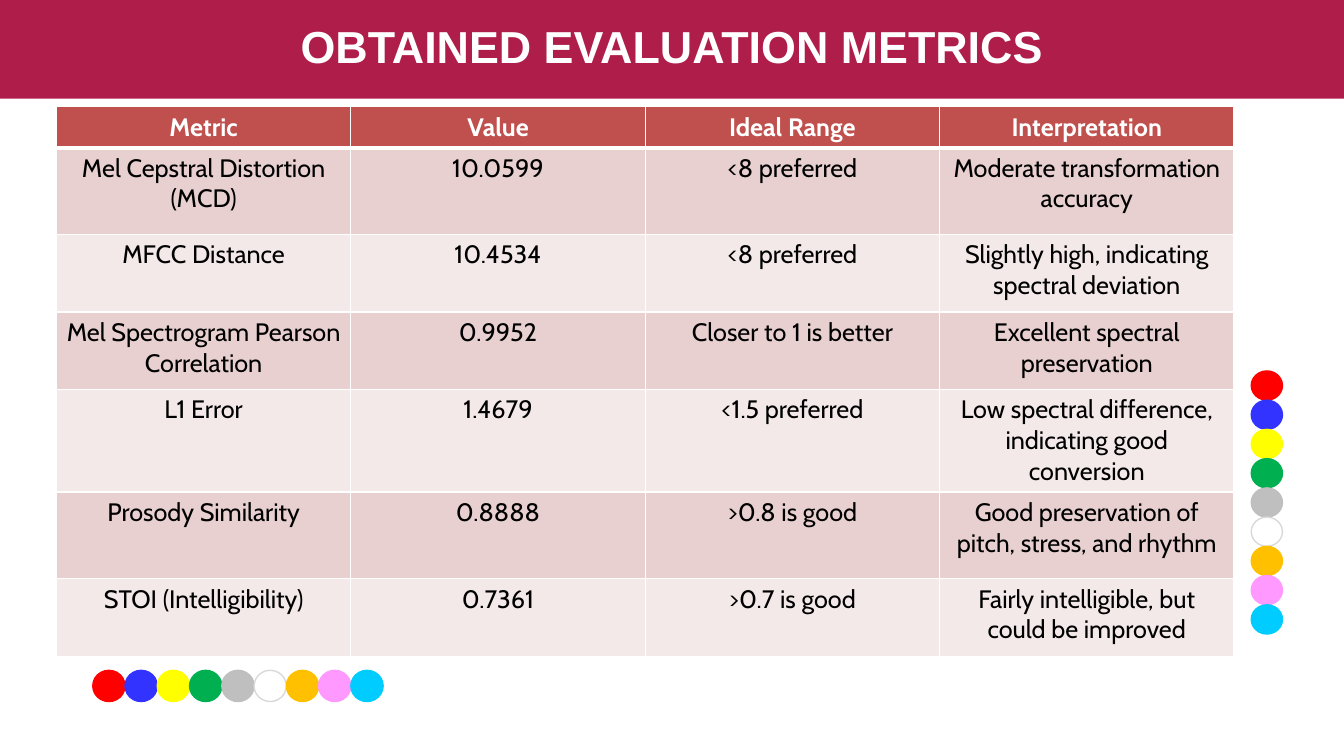
from dataclasses import dataclass
from lxml import etree
from pptx import Presentation
from pptx import util as u
from pptx.dml.color import RGBColor
from pptx.enum import shapes, text
from pptx.oxml.ns import qn

TITLE = "OBTAINED EVALUATION METRICS"
ROWS = [
    ("Metric", "Value", "Ideal Range", "Interpretation"),
    ("Mel Cepstral Distortion (MCD)", "10.0599", "<8 preferred", "Moderate transformation accuracy"),
    ("MFCC Distance", "10.4534", "<8 preferred", "Slightly high, indicating spectral deviation"),
    ("Mel Spectrogram Pearson Correlation", "0.9952", "Closer to 1 is better", "Excellent spectral preservation"),
    ("L1 Error", "1.4679", "<1.5 preferred", "Low spectral difference, indicating good conversion"),
    ("Prosody Similarity", "0.8888", ">0.8 is good", "Good preservation of pitch, stress, and rhythm"),
    ("STOI (Intelligibility)", "0.7361", ">0.7 is good", "Fairly intelligible, but could be improved"),
]
ROW_HEIGHTS = (0.39, 0.86, 0.77, 0.77, 0.98, 0.86, 0.77)
DOT_COLORS = ("FF0000", "3333FF", "FFFF00", "00B050", "BFBFBF", "FFFFFF", "FFC000", "FF99FF", "00CCFF")
DOT_CHAINS = [
    {"start": (12.41, 3.68), "size": (0.31, 0.29), "step": (0, 0.29)},
    {"start": (0.92, 6.65), "size": (0.32, 0.31), "step": (0.32, 0)},
]
SLIDE_W, SLIDE_H = 13.33, 7.5
BANNER_H = 0.98
TABLE_X, TABLE_Y, TABLE_W = 0.56, 1.06, 11.68


@dataclass(frozen=True)
class Theme:
    banner: str = "AF1D4A"
    header: str = "C0504D"
    bands: tuple = ("F4E9E9", "E8D0D0")
    white: str = "FFFFFF"
    ink: str = "000000"
    pale_line: str = "D9D9D9"
    title_font: str = "Arial"
    table_font: str = "Cabin"
    title_size: int = 32
    table_size: int = 18
    thin: int = 1
    thick: int = 3


THEME = Theme()


def paint(target, color):
    target.fill.solid()
    target.fill.fore_color.rgb = RGBColor.from_string(color)


def add_shape(slide, kind, box, fill, line=None):
    sp = slide.shapes.add_shape(kind, *[u.Inches(v) for v in box])
    sp.shadow.inherit = False
    paint(sp, fill)
    if line:
        sp.line.color.rgb = RGBColor.from_string(line)
        sp.line.width = u.Pt(THEME.thin)
    else:
        sp.line.fill.background()
    return sp


def write(tf, content, font, size, color, bold):
    p = tf.paragraphs[0]
    p.alignment = text.PP_ALIGN.CENTER
    r = p.add_run()
    r.text = content
    r.font.name = font
    r.font.size = u.Pt(size)
    r.font.bold = bold
    r.font.color.rgb = RGBColor.from_string(color)
    return p


def set_borders(cell, widths):
    tc_pr = cell._tc.get_or_add_tcPr()
    for i, (side, width) in enumerate(widths.items()):
        ln = etree.Element(qn("a:ln" + side), w=str(u.Pt(width)))
        fill = etree.SubElement(ln, qn("a:solidFill"))
        etree.SubElement(fill, qn("a:srgbClr"), val=THEME.white)
        tc_pr.insert(i, ln)


def add_dots(slide, start, size, step):
    for i, color in enumerate(DOT_COLORS):
        corner = [a + i * d for a, d in zip(start, step)]
        line = THEME.pale_line if color == THEME.white else color
        add_shape(slide, shapes.MSO_SHAPE.FLOWCHART_CONNECTOR, (*corner, *size), color, line)


def add_banner(slide):
    sp = add_shape(slide, shapes.MSO_SHAPE.RECTANGLE, (0, 0, SLIDE_W, BANNER_H), THEME.banner)
    tf = sp.text_frame
    tf.word_wrap = True
    tf.vertical_anchor = text.MSO_ANCHOR.MIDDLE
    p = write(tf, TITLE, THEME.title_font, THEME.title_size, THEME.white, True)
    p.line_spacing = 0.9


def add_metrics(slide):
    box = (TABLE_X, TABLE_Y, TABLE_W, sum(ROW_HEIGHTS))
    table = slide.shapes.add_table(len(ROWS), len(ROWS[0]), *[u.Inches(v) for v in box]).table
    for column in table.columns:
        column.width = u.Inches(TABLE_W / len(ROWS[0]))
    for i, (row, height) in enumerate(zip(ROWS, ROW_HEIGHTS)):
        table.rows[i].height = u.Inches(height)
        head = i == 0
        widths = {
            "L": THEME.thin,
            "R": THEME.thin,
            "T": THEME.thick if i == 1 else THEME.thin,
            "B": THEME.thick if head else THEME.thin,
        }
        for j, content in enumerate(row):
            cell = table.cell(i, j)
            paint(cell, THEME.header if head else THEME.bands[i % 2])
            set_borders(cell, widths)
            color = THEME.white if head else THEME.ink
            write(cell.text_frame, content, THEME.table_font, THEME.table_size, color, head)


def main():
    prs = Presentation()
    prs.slide_width, prs.slide_height = u.Inches(SLIDE_W), u.Inches(SLIDE_H)
    slide = prs.slides.add_slide(prs.slide_layouts[6])
    for chain in DOT_CHAINS:
        add_dots(slide, **chain)
    add_banner(slide)
    add_metrics(slide)
    prs.save("out.pptx")


if __name__ == "__main__":
    main()
